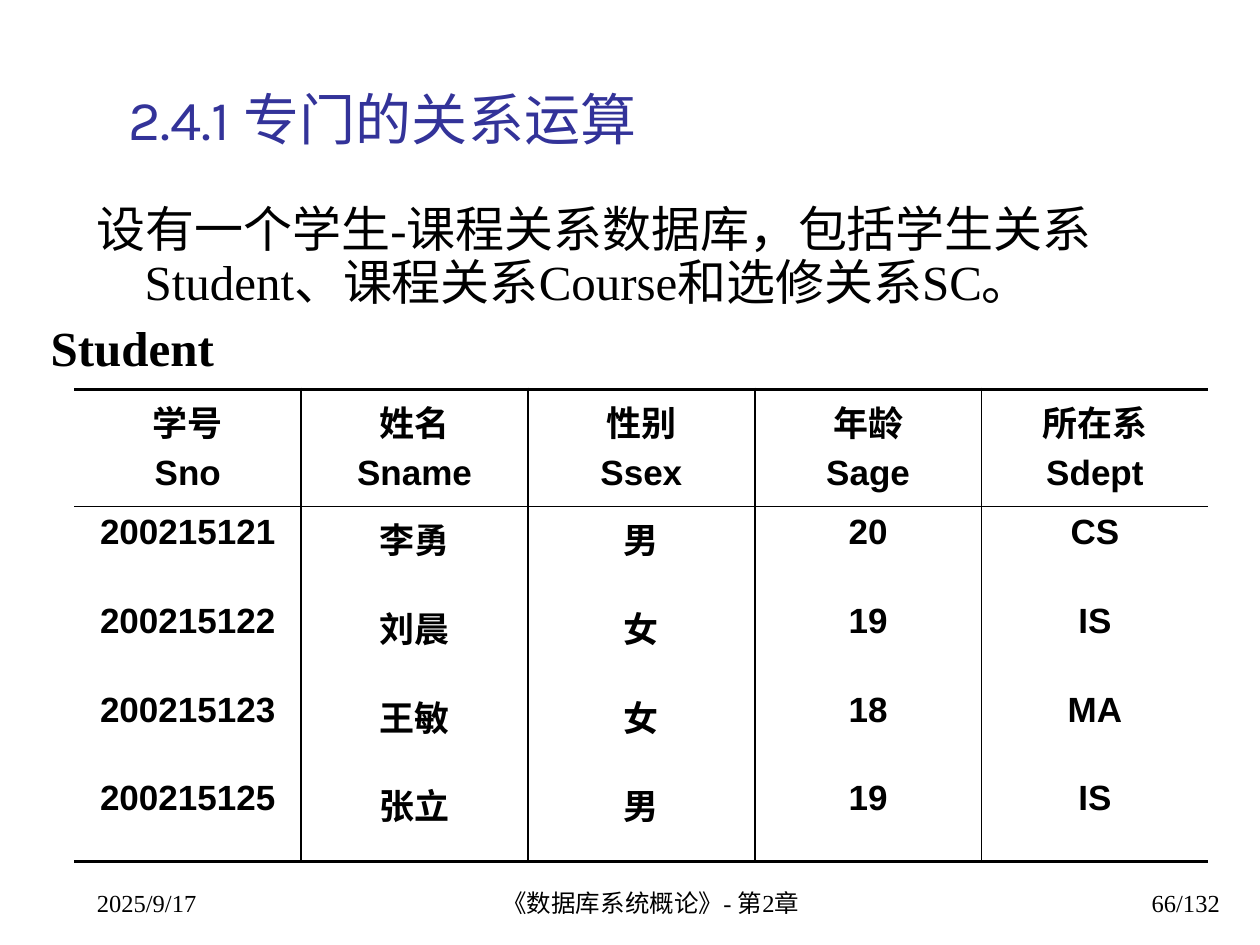
from lxml import etree
from pptx import Presentation
from pptx.dml.color import RGBColor
from pptx.enum.text import MSO_ANCHOR, PP_ALIGN
from pptx.oxml.ns import qn
from pptx.util import Inches, Pt

LEFT, CENTER, RIGHT = PP_ALIGN.LEFT, PP_ALIGN.CENTER, PP_ALIGN.RIGHT
TOP, MIDDLE, BOTTOM = MSO_ANCHOR.TOP, MSO_ANCHOR.MIDDLE, MSO_ANCHOR.BOTTOM
SERIF = "Times New Roman"
BLACK = "000000"
THIN, THICK = 1, 2.25
TABLE_HEIGHT, HEADER_HEIGHT = 3.75, 0.93
HEADER = [("学号", "Sno"), ("姓名", "Sname"), ("性别", "Ssex"),
          ("年龄", "Sage"), ("所在系", "Sdept")]
STUDENTS = [
    ("200215121", "李勇", "男", "20", "CS"),
    ("200215122", "刘晨", "女", "19", "IS"),
    ("200215123", "王敏", "女", "18", "MA"),
    ("200215125", "张立", "男", "19", "IS"),
]


def color(hex_value):
    return RGBColor.from_string(hex_value)


def add_run(paragraph, text, size, font_name, hex_value=BLACK, bold=False):
    run = paragraph.add_run()
    run.text = text
    run.font.size = Pt(size)
    run.font.name = font_name
    run.font.bold = bold
    run.font.color.rgb = color(hex_value)


def add_text(slide, box, text, size, font_name=SERIF, hex_value=BLACK,
             bold=False, align=LEFT, anchor=TOP):
    shape = slide.shapes.add_textbox(*(Inches(length) for length in box))
    frame = shape.text_frame
    frame.word_wrap = True
    frame.vertical_anchor = anchor
    paragraph = frame.paragraphs[0]
    paragraph.alignment = align
    add_run(paragraph, text, size, font_name, hex_value, bold)
    return paragraph


def add_hanging_text(slide, box, text, size):
    paragraph = add_text(slide, box, text, size)
    paragraph.line_spacing = 0.9
    properties = paragraph._p.get_or_add_pPr()
    properties.set("marL", str(Inches(0.38)))
    properties.set("indent", str(-Inches(0.38)))


def set_borders(cell, widths):
    properties = cell._tc.get_or_add_tcPr()
    for position, (side, width) in enumerate(zip("LRTB", widths)):
        line = etree.Element(qn(f"a:ln{side}"), w=str(Pt(width)))
        if width:
            fill = etree.SubElement(line, qn("a:solidFill"))
            etree.SubElement(fill, qn("a:srgbClr"), val=BLACK)
        else:
            etree.SubElement(line, qn("a:noFill"))
        properties.insert(position, line)


def fill_cell(cell, lines):
    cell.fill.background()
    frame = cell.text_frame
    for number, text in enumerate(lines):
        paragraph = frame.add_paragraph() if number else frame.paragraphs[0]
        paragraph.alignment = CENTER
        if number:
            paragraph.space_before = Pt(4)
        add_run(paragraph, text, 20, "Arial", bold=True)


def add_student_table(slide):
    rows = [HEADER] + [[(value,) for value in student] for student in STUDENTS]
    last_row, last_column = len(rows) - 1, len(HEADER) - 1
    student_height = (TABLE_HEIGHT - HEADER_HEIGHT) / len(STUDENTS)
    frame = slide.shapes.add_table(len(rows), len(HEADER), Inches(0.59),
                                   Inches(3.09), Inches(9), Inches(TABLE_HEIGHT))
    table = frame.table
    table.first_row = False
    table.horz_banding = False
    for column in table.columns:
        column.width = Inches(1.8)
    for row_index, values in enumerate(rows):
        height = student_height if row_index else HEADER_HEIGHT
        table.rows[row_index].height = Inches(height)
        top = {0: THICK, 1: THIN}.get(row_index, 0)
        bottom = {0: THIN, last_row: THICK}.get(row_index, 0)
        for column_index, lines in enumerate(values):
            cell = table.cell(row_index, column_index)
            fill_cell(cell, lines)
            left = THIN if column_index > 0 else 0
            right = THIN if column_index < last_column else 0
            set_borders(cell, (left, right, top, bottom))


def add_footer(slide):
    for left, width, text, align in [
        (0.67, 2.08, "2025/9/17", LEFT),
        (3.58, 3.17, "《数据库系统概论》- 第2章", CENTER),
        (7.7, 2.08, "66/132", RIGHT),
    ]:
        add_text(slide, (left, 6.83, width, 0.5), text, 14,
                 align=align, anchor=BOTTOM)


def main():
    presentation = Presentation()
    presentation.slide_width = Inches(10)
    presentation.slide_height = Inches(7.5)
    slide = presentation.slides.add_slide(presentation.slide_layouts[6])
    add_footer(slide)
    add_text(slide, (0.92, 0.42, 8.86, 0.83), "2.4.1 专门的关系运算", 32,
             "Karla", "333399", anchor=BOTTOM)
    add_hanging_text(
        slide, (0.67, 1.58, 9.13, 5.12),
        "设有一个学生-课程关系数据库，包括学生关系Student、课程关系Course和选修关系SC。", 28)
    add_text(slide, (0.2, 2.42, 1.7, 0.67), "Student", 28, bold=True,
             align=CENTER, anchor=MIDDLE)
    add_student_table(slide)
    presentation.save("out.pptx")


if __name__ == "__main__":
    main()
